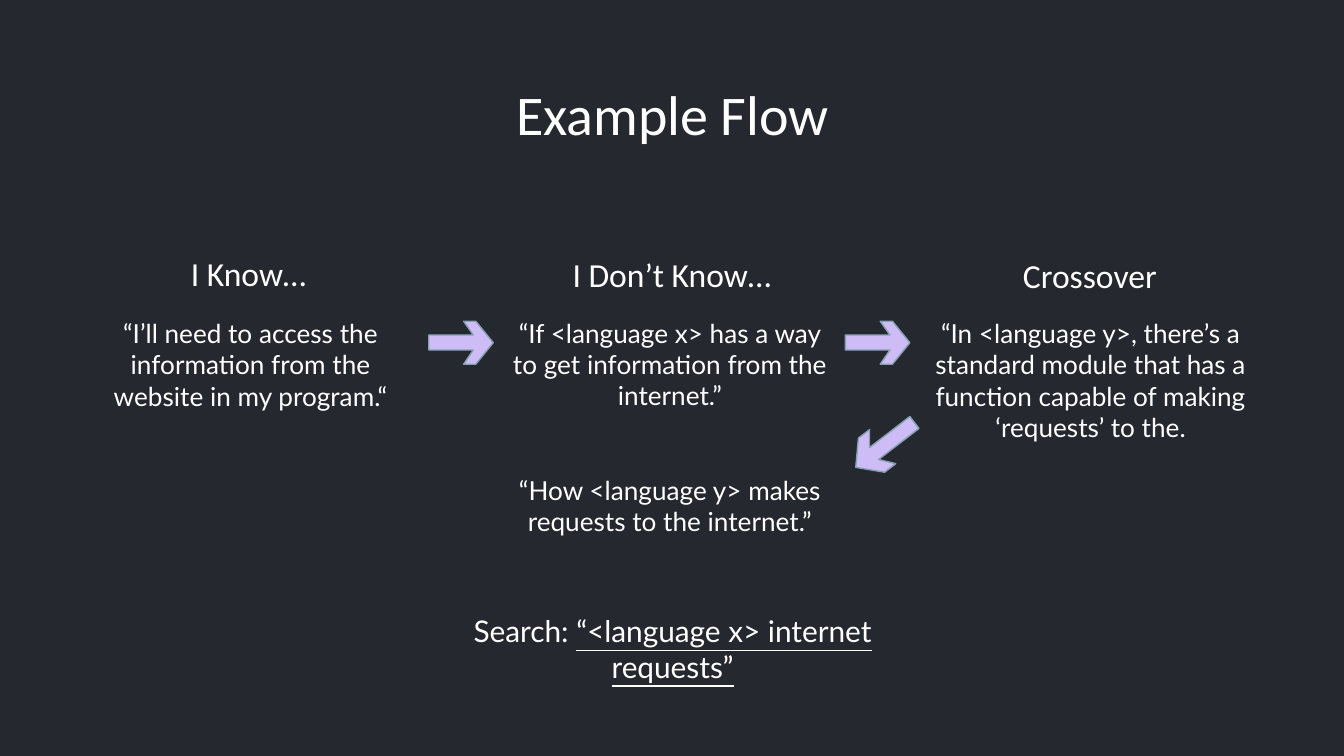
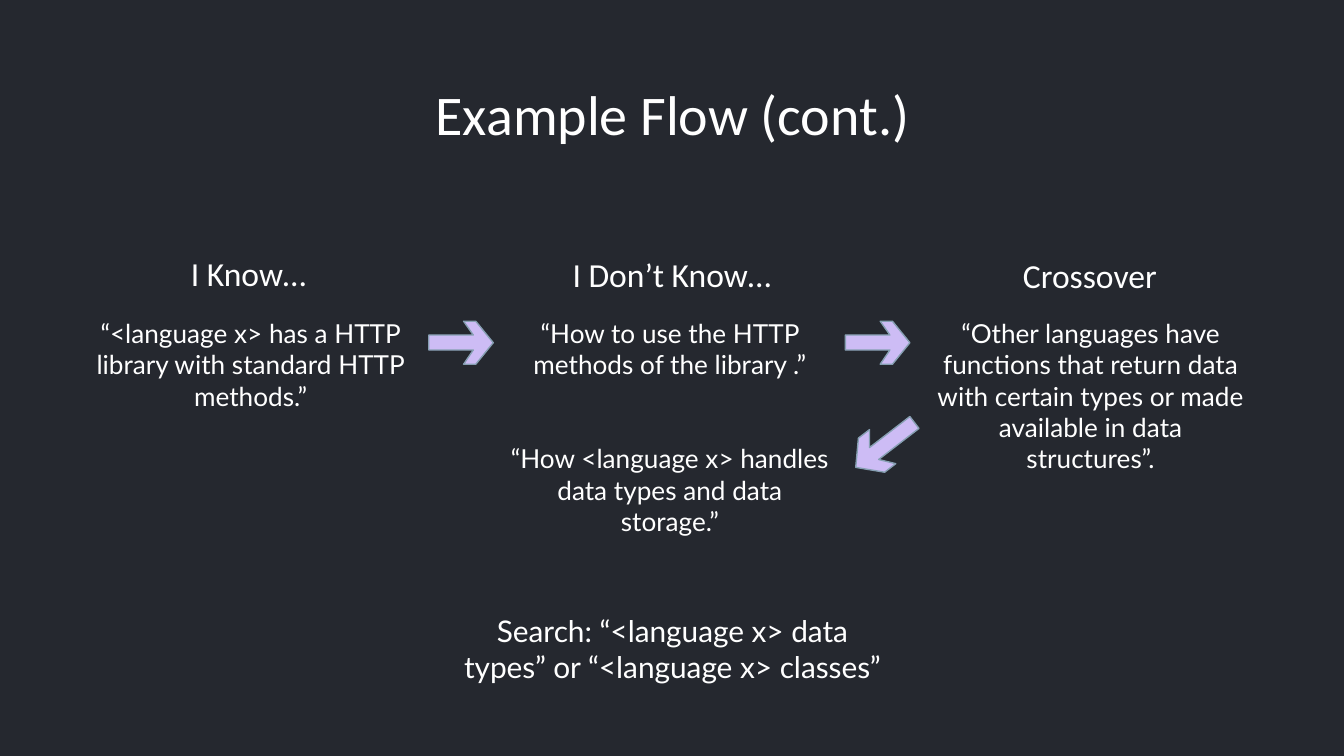
import dataclasses

import pptx
import pptx.dml.color
import pptx.enum.text
import pptx.util

Inches = pptx.util.Inches
Anchor = pptx.enum.text.MSO_ANCHOR


@dataclasses.dataclass(frozen=True)
class Theme:
    """Colours and type styles shared by the slides."""
    background: str = "25282F"
    text: str = "FFFFFF"
    arrow_fill: str = "CDBCF5"
    arrow_line: str = "869FB2"
    title: tuple = ("Calibri", 30)
    heading: tuple = ("Calibri", 18)
    body: tuple = ("Lato", 14)
    search: tuple = ("Lato", 16)


THEME = Theme()
SLIDE_WIDTH = 10
SLIDE_HEIGHT = SLIDE_WIDTH * 9 / 16
TITLE_BOX = (0.79, 0.49, 8.43, 0.63)
FLOW_BOX = (0.58, 1.75, 8.81, 2.47)
SEARCH_BOX = (3.28, 4.51, 3.45, 0.64)
COLUMN_PITCH = 3.12
HEADING_WIDTH = 2.56
BODY_OFFSET = 0.51
BODIES = ((0, 2.57, 1.09), (0, 2.57, 1.96), (0.02, 2.55, 1.41))
HEADINGS = (
    ("I Know…", -0.01, 0, 0.53, Anchor.BOTTOM),
    ("I Don’t Know…", 0.02, 0.04, 0.55, Anchor.TOP),
    ("Crossover", 0.01, 0, 0.55, Anchor.BOTTOM),
)
ARROWS = (
    (2.61, 0.64, 0.48, 0.32, 0),
    (5.71, 0.64, 0.48, 0.32, 0),
    (5.73, 1.40, 0.55, 0.32, 142.4),
)
ARROW_OUTLINE = ((54, 0), (69, 32), (0, 32), (0, 67), (69, 67),
                 (54, 100), (73, 100), (100, 50), (73, 0))
SLIDES = (
    {
        "title": "Example Flow",
        "columns": (
            ("“I’ll need to access the information from the website in my program.“",),
            ("“If <language x> has a way to get information from the internet.”",
             "“How <language y> makes requests to the internet.”"),
            ("“In <language y>, there’s a standard module that has a function "
             "capable of making ‘requests’ to the.",),
        ),
        "search": (("Search: ", False), ("“<language x> internet requests”", True)),
    },
    {
        "title": "Example Flow (cont.)",
        "columns": (
            ("“<language x> has a HTTP library with standard HTTP methods.”",),
            ("“How to use the HTTP methods of the library .”",
             "“How <language x> handles data types and data storage.”"),
            ("“Other languages have functions that return data with certain types "
             "or made available in data structures”.",),
        ),
        "search": (("Search: “<language x> data types” or “<language x> classes”", False),),
    },
)


def set_values(target, values):
    """Set each named attribute of the target."""
    for name, value in values.items():
        setattr(target, name, value)


def color(value):
    """Turn a hex string into a colour."""
    return pptx.dml.color.RGBColor.from_string(value)


def write_text(shape, paragraphs, style, anchor=Anchor.TOP, vertical_inset=0.1):
    """Fill a shape with centred paragraphs, each a sequence of (text, underlined) runs."""
    frame = shape.text_frame
    inset = Inches(vertical_inset)
    set_values(frame, {
        "word_wrap": True, "auto_size": pptx.enum.text.MSO_AUTO_SIZE.NONE,
        "vertical_anchor": anchor, "margin_left": Inches(0.1),
        "margin_right": Inches(0.1), "margin_top": inset, "margin_bottom": inset,
    })
    font_name, size = style
    for index, runs in enumerate(paragraphs):
        paragraph = frame.add_paragraph() if index else frame.paragraphs[0]
        paragraph.alignment = pptx.enum.text.PP_ALIGN.CENTER
        if index:
            paragraph.space_before = pptx.util.Pt(2.4 * size)
        for text, underlined in runs:
            run = paragraph.add_run()
            run.text = text
            set_values(run.font, {"name": font_name, "size": pptx.util.Pt(size)})
            run.font.color.rgb = color(THEME.text)
            if underlined:
                run.font.underline = True


def add_text(slide, box, paragraphs, style, **options):
    """Add a text box at the given box."""
    shape = slide.shapes.add_textbox(*map(Inches, box))
    write_text(shape, paragraphs, style, **options)


def add_title(slide, box, text):
    """Place and format the title placeholder."""
    title = slide.shapes.title
    set_values(title, dict(zip(("left", "top", "width", "height"), map(Inches, box))))
    write_text(title, [[(text, False)]], THEME.title)


def add_arrow(slide, box, rotation):
    """Draw a notched-head arrow that fills the box, then turn it."""
    left, top, width, height = map(Inches, box)
    builder = slide.shapes.build_freeform(*ARROW_OUTLINE[0], scale=(width / 100, height / 100))
    builder.add_line_segments(ARROW_OUTLINE[1:], close=True)
    arrow = builder.convert_to_shape(left, top)
    arrow.rotation = rotation
    arrow.shadow.inherit = False
    arrow.fill.solid()
    arrow.fill.fore_color.rgb = color(THEME.arrow_fill)
    arrow.line.color.rgb = color(THEME.arrow_line)
    arrow.line.width = pptx.util.Pt(0.75)


def add_flow(slide, box, columns):
    """Lay out the three headed columns and the arrows between them."""
    left, top = box[:2]
    for index, (texts, heading, body) in enumerate(zip(columns, HEADINGS, BODIES)):
        column_left = left + index * COLUMN_PITCH
        label, shift, drop, height, anchor = heading
        add_text(slide, (column_left + shift, top + drop, HEADING_WIDTH, height),
                 [[(label, False)]], THEME.heading, anchor=anchor)
        body_shift, body_width, body_height = body
        add_text(slide, (column_left + body_shift, top + BODY_OFFSET, body_width, body_height),
                 [[(text, False)] for text in texts], THEME.body)
    for across, down, width, height, rotation in ARROWS:
        add_arrow(slide, (left + across, top + down, width, height), rotation)


def add_flow_slide(presentation, content):
    """Build one example-flow slide."""
    slide = presentation.slides.add_slide(presentation.slide_layouts.get_by_name("Title Only"))
    add_title(slide, TITLE_BOX, content["title"])
    add_flow(slide, FLOW_BOX, content["columns"])
    add_text(slide, SEARCH_BOX, [content["search"]], THEME.search, vertical_inset=0.05)


def main():
    """Build and save the presentation."""
    presentation = pptx.Presentation()
    set_values(presentation, {"slide_width": Inches(SLIDE_WIDTH),
                              "slide_height": Inches(SLIDE_HEIGHT)})
    background = presentation.slide_master.background.fill
    background.solid()
    background.fore_color.rgb = color(THEME.background)
    for content in SLIDES:
        add_flow_slide(presentation, content)
    presentation.save("out.pptx")


if __name__ == "__main__":
    main()
